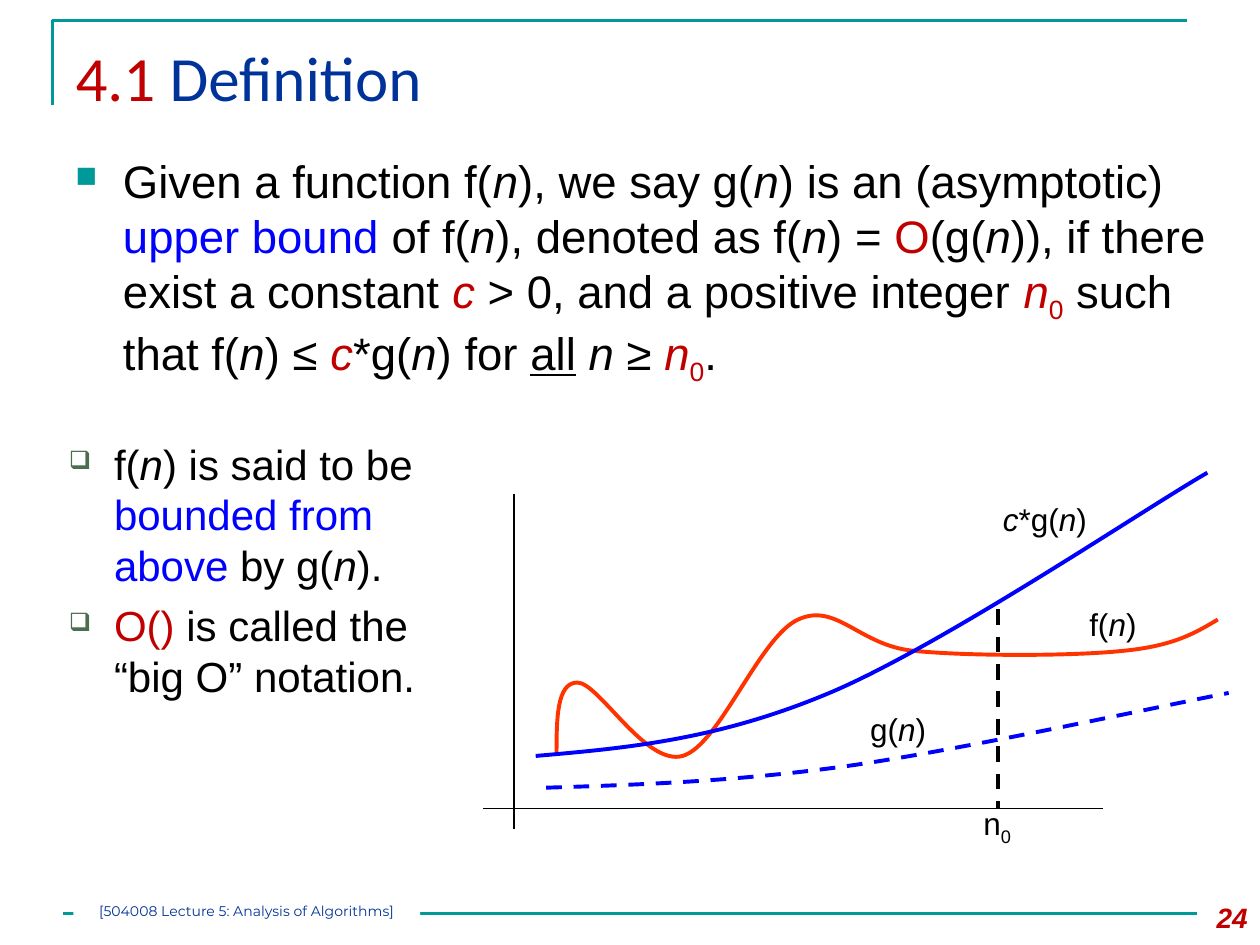
from pptx import Presentation, util as u
from pptx.dml.color import RGBColor
from pptx.enum import dml, shapes, text
from pptx.oxml.ns import qn
from pptx.oxml.xmlchemy import OxmlElement

Cm, Pt = u.Cm, u.Pt
COLORS = {"teal": "009999", "navy": "003399", "red": "C00000", "blue": "0000FF",
          "orange": "FF3300", "black": "000000", "white": "FFFFFF", "moss": "4C6D4E"}


def write_runs(paragraph, runs, size, font="Arial"):
    """Add (text, style words) pairs; a style word is a color, italic, bold, underline or sub."""
    for words, style in runs:
        styles = style.split()
        run = paragraph.add_run()
        run.text = words
        run.font.name, run.font.size = font, Pt(size)
        run.font.italic = "italic" in styles
        run.font.bold = "bold" in styles
        run.font.underline = "underline" in styles
        color = next((s for s in styles if s in COLORS), "black")
        run.font.color.rgb = RGBColor.from_string(COLORS[color])
        if "sub" in styles:
            run.font._element.set("baseline", "-25000")


def style_stroke(stroke, color, width, dashed=False):
    stroke.line.color.rgb = RGBColor.from_string(COLORS[color])
    stroke.line.width = Pt(width)
    if dashed:
        stroke.line.dash_style = dml.MSO_LINE.DASH
    stroke._element.spPr.append(OxmlElement("a:effectLst"))


prs = Presentation()
prs.slide_width, prs.slide_height = Cm(25.4), Cm(19.05)
slide = prs.slides.add_slide(prs.slide_layouts[5])

# Title and its corner rule
title = slide.shapes.title
title.left, title.top, title.width, title.height = Cm(1.27), Cm(0.64), Cm(22.86), Cm(2.18)
title.text_frame.vertical_anchor = text.MSO_ANCHOR.TOP
title.text_frame.paragraphs[0].alignment = text.PP_ALIGN.LEFT
write_runs(title.text_frame.paragraphs[0], [("4.1 ", "red"), ("Definition", "navy")], 36, "Calibri")

outline = slide.shapes.build_freeform(Cm(1.06), Cm(2.12))
outline.add_line_segments([(Cm(1.06), Cm(0.42)), (Cm(23.92), Cm(0.42))], close=False)
corner = outline.convert_to_shape()
corner.fill.background()
style_stroke(corner, "teal", 1.5)

# Bulleted text
definition = [
    ("Given a function f(", ""), ("n", "italic"), ("), we say g(", ""), ("n", "italic"),
    (") is an (asymptotic) ", ""), ("upper bound ", "blue"), ("of f(", ""), ("n", "italic"),
    ("), denoted as f(", ""), ("n", "italic"), (") = ", ""), ("O", "red"), ("(g(", ""),
    ("n", "italic"), (")), if there exist a constant ", ""), ("c ", "red italic"),
    ("> 0, and a positive integer ", ""), ("n", "red italic"), ("0", "red sub"),
    (" such that f(", ""), ("n", "italic"), (") ≤ ", ""), ("c", "red italic"), ("*g(", ""),
    ("n", "italic"), (") for ", ""), ("all", "underline"), (" ", ""), ("n", "italic"),
    (" ≥ ", ""), ("n", "red italic"), ("0", "red sub"), (".", ""),
]
remarks = [
    [("f(", ""), ("n", "italic"), (") is said to be ", ""), ("bounded from above ", "blue"),
     ("by g(", ""), ("n", "italic"), (").", "")],
    [("O() ", "red"), ("is called the “big O” notation.", "")],
]
# left, top, width, height, size, text indent, hanging, bullet, bullet color, bullet %, paragraphs
bulleted = [
    (1.27, 2.97, 23.5, 5.08, 26, 0.96, 0.96, "■", "teal", 65, [definition]),
    (1.06, 8.71, 8.89, 7.2, 24, 0.99, 0.91, "❑", "moss", 60, remarks),
]
for left, top, width, height, size, indent, hanging, mark, mark_color, percent, items in bulleted:
    frame = slide.shapes.add_textbox(Cm(left), Cm(top), Cm(width), Cm(height)).text_frame
    frame.word_wrap = True
    for index, runs in enumerate(items):
        paragraph = frame.add_paragraph() if index else frame.paragraphs[0]
        paragraph.space_before = Pt(6 if index else 0)
        props = paragraph._p.get_or_add_pPr()
        props.set("marL", str(Cm(indent)))
        props.set("indent", str(-Cm(hanging)))
        bullet_color, rgb = OxmlElement("a:buClr"), OxmlElement("a:srgbClr")
        rgb.set("val", COLORS[mark_color])
        bullet_color.append(rgb)
        bullet_size, bullet = OxmlElement("a:buSzPct"), OxmlElement("a:buChar")
        bullet_size.set("val", str(percent * 1000))
        bullet.set("char", mark)
        for element in (bullet_color, bullet_size, bullet):
            props.append(element)
        write_runs(paragraph, runs, size)

# Straight lines: footer rule, both axes, threshold at n0
for x1, y1, x2, y2, color, width, dashed in [
    (1.27, 18.42, 24.13, 18.42, "teal", 1.5, False),
    (9.74, 16.3, 22.23, 16.3, "black", 0.75, False),
    (10.37, 9.95, 10.37, 16.72, "black", 1, False),
    (20.11, 12.28, 20.11, 16.3, "black", 2.25, True),
]:
    line = slide.shapes.add_connector(shapes.MSO_CONNECTOR.STRAIGHT, Cm(x1), Cm(y1), Cm(x2), Cm(y2))
    style_stroke(line, color, width, dashed)

# Growth curves: a start point, then three Bezier points per stretch
f_curve = [(11.22, 15.24), (11.22, 14.5), (11.22, 13.76), (11.64, 13.76),
           (12.07, 13.76), (13.02, 15.45), (13.76, 15.24),
           (14.5, 15.03), (15.31, 12.84), (16.09, 12.49),
           (16.86, 12.13), (17.33, 13.02), (18.42, 13.12),
           (19.51, 13.23), (21.62, 13.23), (22.65, 13.12),
           (23.68, 13.02), (24.11, 12.75), (24.55, 12.49)]
cg_curve = [(10.8, 15.24), (12.63, 15.08), (14.46, 14.92), (16.72, 13.97),
            (18.98, 13.02), (23.07, 10.26), (24.34, 9.53)]
g_curve = [(11.01, 15.88), (12.87, 15.82), (14.74, 15.76), (17.03, 15.45),
           (19.33, 15.13), (23.47, 14.22), (24.77, 13.97)]
for points, color, dashed in [(f_curve, "orange", False), (cg_curve, "blue", False),
                              (g_curve, "blue", True)]:
    start, *rest = [(Cm(x), Cm(y)) for x, y in points]
    outline = slide.shapes.build_freeform(*start)
    outline.add_line_segments(rest, close=False)
    curve = outline.convert_to_shape()
    # Join every three straight segments into one Bezier segment
    segments = list(curve._element.iter(qn("a:lnTo")))
    for first in range(0, len(segments), 3):
        bezier = OxmlElement("a:cubicBezTo")
        segments[first].addprevious(bezier)
        for segment in segments[first:first + 3]:
            bezier.append(segment[0])
            segment.getparent().remove(segment)
    curve.fill.background()
    style_stroke(curve, color, 2.25, dashed)

# Curve labels and slide number
n_close = [("n", "italic"), (")", "")]
for left, top, width, size, align, runs in [
    (19.69, 9.95, 2.75, 18, "CENTER", [("c", "italic"), ("*g(", "")] + n_close),
    (21.59, 12.07, 1.69, 18, "CENTER", [("f(", "")] + n_close),
    (17.15, 14.18, 1.91, 18, "CENTER", [("g(", "")] + n_close),
    (19.26, 16.09, 1.69, 18, "CENTER", [("n", ""), ("0", "sub")]),
    (23.7, 18.03, 1.7, 16, "RIGHT", [("24", "red bold italic")]),
]:
    frame = slide.shapes.add_textbox(Cm(left), Cm(top), Cm(width), Cm(1.02)).text_frame
    frame.word_wrap = True
    frame.paragraphs[0].alignment = text.PP_ALIGN[align]
    write_runs(frame.paragraphs[0], runs, size)

# Footer, set over its rule
footer = slide.shapes.add_shape(shapes.MSO_SHAPE.RECTANGLE, Cm(1.48), Cm(18.2), Cm(6.99), Cm(0.42))
footer.shadow.inherit = False
footer.fill.solid()
footer.fill.fore_color.rgb = RGBColor.from_string(COLORS["white"])
footer.line.fill.background()
frame = footer.text_frame
frame.margin_left = frame.margin_right = frame.margin_top = frame.margin_bottom = 0
frame.vertical_anchor = text.MSO_ANCHOR.TOP
frame.paragraphs[0].alignment = text.PP_ALIGN.CENTER
write_runs(frame.paragraphs[0], [("[504008 Lecture 5: Analysis of Algorithms]", "navy")], 8, "Montserrat")

prs.save("out.pptx")
